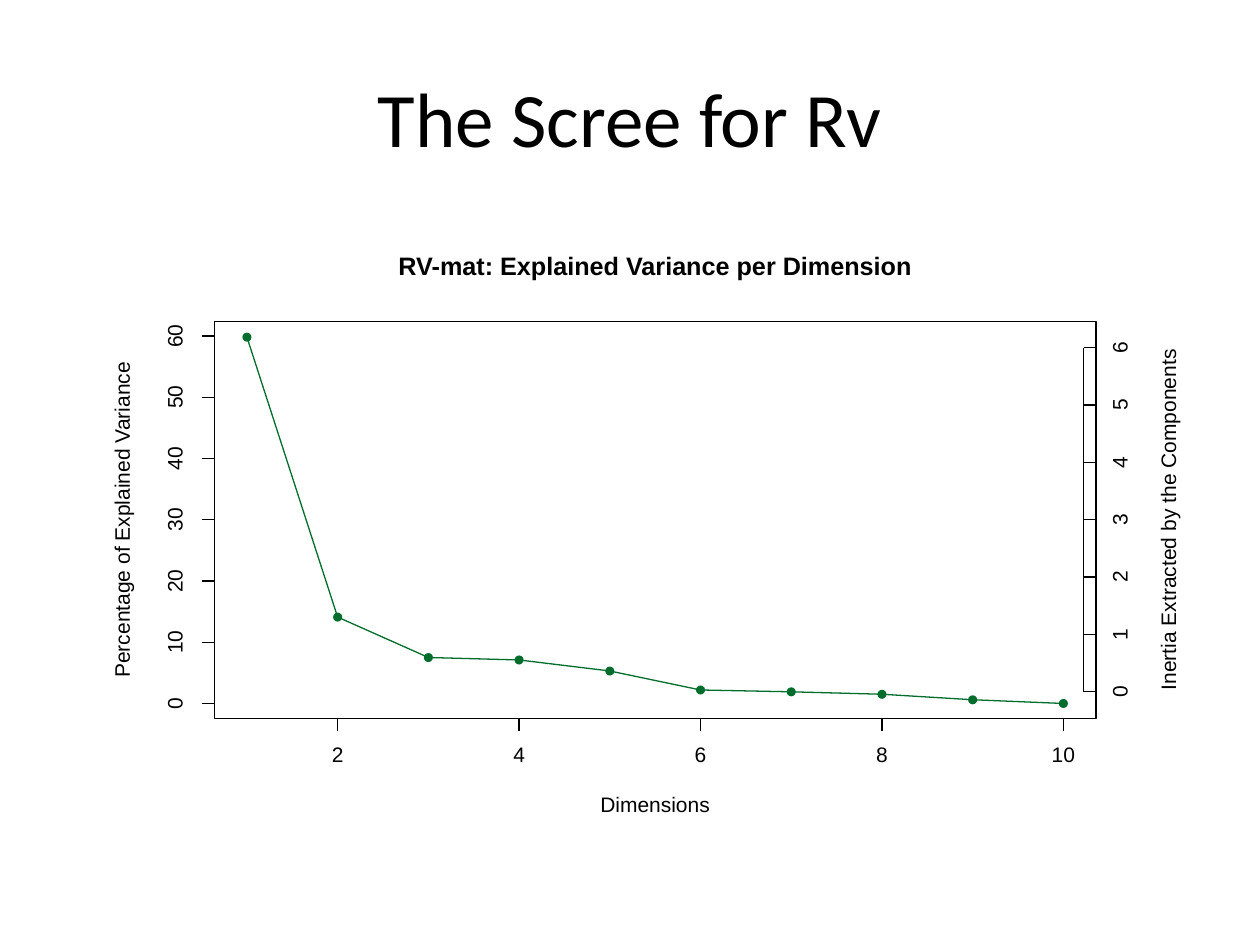
from lxml import etree
from pptx import Presentation
from pptx.dml.color import RGBColor
from pptx.enum.shapes import MSO_CONNECTOR, MSO_SHAPE
from pptx.enum.text import MSO_ANCHOR, PP_ALIGN
from pptx.oxml.ns import qn
from pptx.util import Pt

STRAIGHT = MSO_CONNECTOR.STRAIGHT
RECTANGLE, OVAL = MSO_SHAPE.RECTANGLE, MSO_SHAPE.OVAL
MIDDLE, CENTER = MSO_ANCHOR.MIDDLE, PP_ALIGN.CENTER

BLACK, WHITE, GREEN = "000000", "FFFFFF", "006D2C"
LINE_WIDTH = 0.75
DOT_SIZE = 5.2
TICK = 7.2

# Plot frame and axis scales, in points
LEFT, TOP, RIGHT, BOTTOM = 122.4, 183.6, 626.4, 410.4
MIDDLE_X = (LEFT + RIGHT) / 2
MIDDLE_Y = (TOP + BOTTOM) / 2
FIRST_X, DIMENSION_STEP = 141.1, 51.84
PERCENT_ZERO, PERCENT_STEP = 402, 3.5
INERTIA_ZERO, INERTIA_STEP = 395.3, 32.77

EXPLAINED_VARIANCE = [59.8, 14.1, 7.5, 7.1, 5.3, 2.2, 1.9, 1.5, 0.6, 0]


def color(hex_code):
    return RGBColor.from_string(hex_code)


def dimension_x(dimension):
    return FIRST_X + (dimension - 1) * DIMENSION_STEP


def percent_y(percent):
    return PERCENT_ZERO - percent * PERCENT_STEP


def inertia_y(inertia):
    return INERTIA_ZERO - inertia * INERTIA_STEP


def paint(shape, fill=None, line=None):
    shape.shadow.inherit = False
    if fill:
        shape.fill.solid()
        shape.fill.fore_color.rgb = color(fill)
    else:
        shape.fill.background()
    if line:
        shape.line.color.rgb = color(line)
        shape.line.width = Pt(LINE_WIDTH)
    else:
        shape.line.fill.background()


def add_preset(shapes, kind, left, top, width, height, fill=None, line=None):
    shape = shapes.add_shape(kind, Pt(left), Pt(top), Pt(width), Pt(height))
    paint(shape, fill, line)


def add_line(shapes, x1, y1, x2, y2):
    line = shapes.add_connector(STRAIGHT, Pt(x1), Pt(y1), Pt(x2), Pt(y2))
    line.line.color.rgb = color(BLACK)
    line.line.width = Pt(LINE_WIDTH)
    properties = line._element.find(qn("p:spPr"))
    etree.SubElement(properties, qn("a:effectLst"))


def add_label(shapes, text, x, y, width, height=8.6, size=12,
              bold=False, rotation=0):
    """Place a label centred on the point x, y."""
    box = shapes.add_textbox(Pt(x - width / 2), Pt(y - height / 2),
                             Pt(width), Pt(height))
    box.rotation = rotation
    frame = box.text_frame
    frame.word_wrap = False
    frame.vertical_anchor = MIDDLE
    frame.margin_left = frame.margin_right = 0
    frame.margin_top = frame.margin_bottom = 0
    para = frame.paragraphs[0]
    para.alignment = CENTER
    para.line_spacing = Pt(size)
    span = para.add_run()
    span.text = text
    span.font.name = "Arial"
    span.font.size = Pt(size)
    span.font.bold = bold
    span.font.color.rgb = color(BLACK)


def add_tick_label(shapes, value, x, y, rotation=0):
    text = str(value)
    add_label(shapes, text, x, y, 7 * len(text), rotation=rotation)


def add_title(page, text):
    title = page.shapes.title
    title.left, title.top = Pt(36), Pt(21.6)
    title.width, title.height = Pt(648), Pt(90)
    title.text_frame.vertical_anchor = MIDDLE
    para = title.text_frame.paragraphs[0]
    para.alignment = CENTER
    span = para.add_run()
    span.text = text
    span.font.name = "Calibri"
    span.font.size = Pt(44)
    span.font.color.rgb = color(BLACK)


def add_curve(shapes, points):
    places = [(Pt(x), Pt(y)) for x, y in points]
    builder = shapes.build_freeform(*places[0])
    builder.add_line_segments(places[1:], close=False)
    paint(builder.convert_to_shape(), line=GREEN)


def add_dimension_axis(shapes):
    ticks = range(2, 11, 2)
    add_line(shapes, dimension_x(2), BOTTOM, dimension_x(10), BOTTOM)
    for dimension in ticks:
        x = dimension_x(dimension)
        add_line(shapes, x, BOTTOM, x, BOTTOM + TICK)
        add_tick_label(shapes, dimension, x, 432)


def add_vertical_axis(shapes, ticks, place, line_x, tick_x, label_x):
    add_line(shapes, line_x, place(ticks[0]), line_x, place(ticks[-1]))
    for value in ticks:
        y = place(value)
        add_line(shapes, line_x, y, tick_x, y)
        add_tick_label(shapes, value, label_x, y, rotation=270)


def add_scree_plot(page):
    shapes = page.shapes.add_group_shape().shapes
    add_preset(shapes, RECTANGLE, 36, 126, 648, 356.4, WHITE, WHITE)

    # Curve, axes and frame
    points = [(dimension_x(dimension), percent_y(percent))
              for dimension, percent in enumerate(EXPLAINED_VARIANCE, 1)]
    add_curve(shapes, points)
    add_dimension_axis(shapes)
    add_vertical_axis(shapes, range(0, 61, 10), percent_y,
                      LEFT, LEFT - TICK, 100.8)
    add_preset(shapes, RECTANGLE, LEFT, TOP, RIGHT - LEFT, BOTTOM - TOP,
               line=BLACK)

    # Heading and axis titles
    add_label(shapes, "RV-mat: Explained Variance per Dimension",
              MIDDLE_X, 153, 298, 13.7, size=14.4, bold=True)
    add_label(shapes, "Dimensions", MIDDLE_X, 460.8, 66)
    add_label(shapes, "Percentage of Explained Variance",
              70.6, MIDDLE_Y, 184, 11.5, rotation=270)

    # Data points
    for x, y in points:
        add_preset(shapes, OVAL, x - DOT_SIZE / 2, y - DOT_SIZE / 2,
                   DOT_SIZE, DOT_SIZE, fill=GREEN)

    # Inertia axis
    add_label(shapes, "Inertia Extracted by the Components",
              668.5, MIDDLE_Y, 198, 11.5, rotation=270)
    add_vertical_axis(shapes, range(7), inertia_y,
                      RIGHT - TICK, RIGHT, 640.8)


def main():
    deck = Presentation()
    deck.slide_width, deck.slide_height = Pt(720), Pt(540)
    page = deck.slides.add_slide(deck.slide_layouts[5])
    add_title(page, "The Scree for Rv")
    add_scree_plot(page)
    deck.save("out.pptx")


main()
